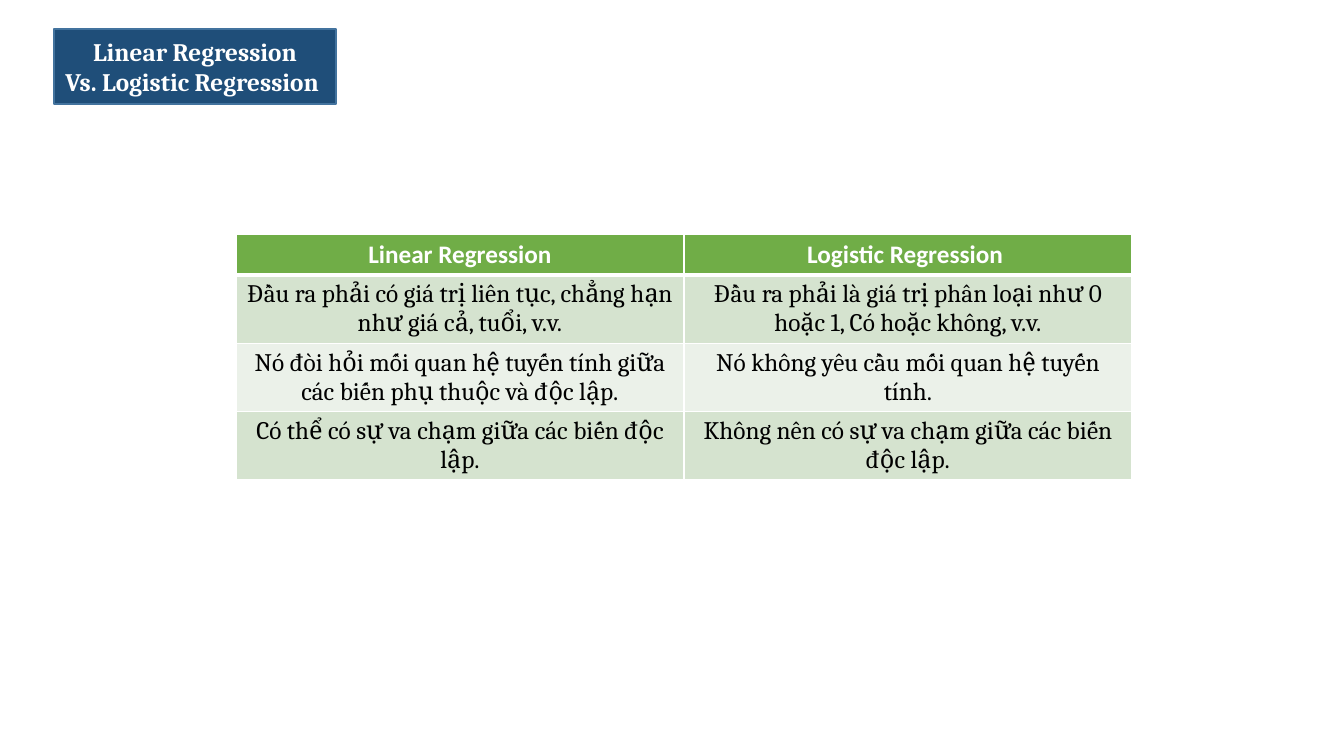
from pptx import Presentation
from pptx.dml.color import RGBColor
from pptx.enum.shapes import MSO_SHAPE as Shape
from pptx.enum.text import MSO_ANCHOR as Anchor, PP_ALIGN as Align
from pptx.oxml import parse_xml
from pptx.oxml.ns import nsdecls
from pptx.util import Pt

PX = 914400 / 100.8
WHITE = RGBColor(0xFF, 0xFF, 0xFF)
BLACK = RGBColor(0, 0, 0)
NAVY = RGBColor(0x1F, 0x4E, 0x79)
BLUE = RGBColor(0x43, 0x73, 0x9E)
GREEN = RGBColor(0x70, 0xAD, 0x47)
SAGE = RGBColor(0xD5, 0xE3, 0xCF)
MIST = RGBColor(0xEB, 0xF1, 0xE9)


def px(*vals):
    return [round(val * PX) for val in vals]


def write(frame, text, font="Cambria", color=WHITE, bold=False):
    """Fill a text frame with one centred 18 pt paragraph; \\v breaks a line."""
    para = frame.paragraphs[0]
    para.text = text
    para.alignment = Align.CENTER
    for run in para.runs:
        run.font.name = font
        run.font.size = Pt(18)
        run.font.bold = bold
        run.font.color.rgb = color


prs = Presentation()
prs.slide_width, prs.slide_height = px(1344, 756)
slide = prs.slides.add_slide(prs.slide_layouts[6])

# Title box
title = slide.shapes.add_shape(Shape.RECTANGLE, *px(54, 29, 282, 75))
title.shadow.inherit = False
title.fill.solid()
title.fill.fore_color.rgb = NAVY
title.line.color.rgb = BLUE
title.line.width = Pt(1)
title.text_frame.word_wrap = True
title.text_frame.vertical_anchor = Anchor.MIDDLE
write(title.text_frame, "Linear Regression\vVs. Logistic Regression ", bold=True)

# Comparison table
rows = [
    ("Linear Regression", "Logistic Regression "),
    ("Đầu ra phải có giá trị liên tục, chẳng hạn như giá cả, tuổi, v.v.",
     "Đầu ra phải là giá trị phân loại như 0 hoặc 1, Có hoặc không, v.v."),
    ("Nó đòi hỏi mối quan hệ tuyến tính giữa các biến phụ thuộc và độc lập.",
     "Nó không yêu cầu mối quan hệ tuyến tính."),
    ("Có thể có sự va chạm giữa các biến độc lập.",
     "Không nên có sự va chạm giữa các biến độc lập."),
]
high = px(253)[0]
holder = slide.shapes.add_table(len(rows), 2, *px(236, 234, 896, 253))
table = holder.table
for r, texts in enumerate(rows):
    table.rows[r].height = px(41)[0]
    head = r == 0
    fill = GREEN if head else SAGE if r % 2 else MIST
    edges = {"L": 1, "R": 1, "T": 3 if r == 1 else 1, "B": 3 if head else 1}
    for c, text in enumerate(texts):
        cell = table.cell(r, c)
        props = cell._tc.get_or_add_tcPr()
        for side, width in edges.items():
            props.append(parse_xml(
                f'<a:ln{side} {nsdecls("a")} w="{Pt(width)}"><a:solidFill>'
                f'<a:srgbClr val="{WHITE}"/></a:solidFill></a:ln{side}>'))
        cell.fill.solid()
        cell.fill.fore_color.rgb = fill
        cell.vertical_anchor = Anchor.MIDDLE
        if head:
            write(cell.text_frame, text, font="Calibri", bold=True)
        else:
            write(cell.text_frame, text, color=BLACK)
holder.height = high

prs.save("out.pptx")
